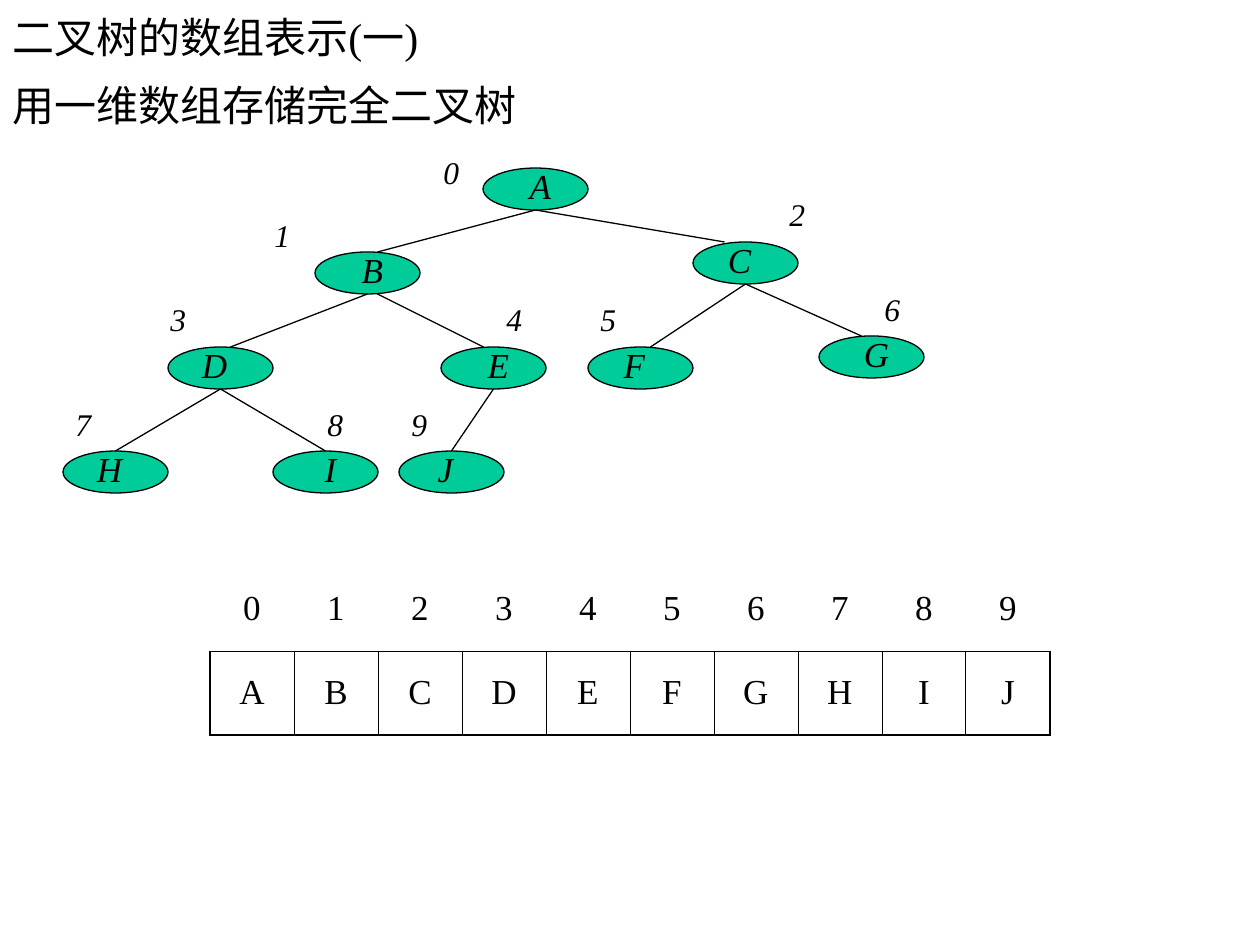
from lxml import etree
from pptx import Presentation
from pptx.dml.color import RGBColor
from pptx.enum.shapes import MSO_CONNECTOR as Line, MSO_SHAPE as Shape
from pptx.enum.text import MSO_ANCHOR as Anchor, PP_ALIGN as Align
from pptx.oxml.ns import qn
from pptx.util import Emu, Pt

HEADS = [("二叉树的数组表示(一)", 0, 0, 1071, 73, Anchor.MIDDLE),
         ("用一维数组存储完全二叉树", 0, 73, 1229, 829, Anchor.TOP)]
# name: oval left, oval top, letter shift, index left, index top
NODES = {
    "A": (483, 168, 21, 431, 147),
    "B": (315, 252, 21, 262, 210),
    "C": (693, 242, 10, 777, 189),
    "D": (168, 347, 10, 158, 294),
    "E": (441, 347, 21, 494, 294),
    "F": (588, 347, 10, 588, 294),
    "G": (819, 336, 21, 872, 284),
    "H": (63, 451, 10, 63, 399),
    "I": (273, 451, 21, 315, 399),
    "J": (399, 451, 10, 399, 399),
}
# parent, child, shift of each end from the middle of its oval
EDGES = [("A", "B", 0, 10), ("B", "D", 0, 10), ("D", "H", 0, 0),
         ("A", "C", 0, -21), ("B", "E", 10, -10), ("D", "I", 0, 0),
         ("E", "J", 0, 0), ("C", "F", 0, 10), ("C", "G", 0, -10)]
OVAL_W, OVAL_H = 105, 42
LEFT, TOP, CELL = 210, 567, 84
THIN, THICK = 0.45, 1.08
FONT, INK, GREEN = "Times New Roman", "000000", "00CC99"


def px(n):
    return Emu(round(n * 914400 / 126))


def box(*rect):
    return [px(n) for n in rect]


def color(code):
    return RGBColor.from_string(code)


def style(para, size, italic=False, align=Align.LEFT):
    para.alignment = align
    for run in para.runs:
        font = run.font
        font.name, font.size, font.italic = FONT, Pt(size), italic
        font.color.rgb = color(INK)


def label(shapes, text, rect, size, italic=False, align=Align.LEFT, anchor=Anchor.TOP):
    frame = shapes.add_textbox(*box(*rect)).text_frame
    frame.word_wrap = True
    frame.vertical_anchor = anchor
    frame.text = text
    style(frame.paragraphs[0], size, italic, align)


def oval(shapes, x, y):
    shape = shapes.add_shape(Shape.OVAL, *box(x, y, OVAL_W, OVAL_H))
    shape.shadow.inherit = False
    shape.fill.solid()
    shape.fill.fore_color.rgb = color(GREEN)
    shape.line.color.rgb = color(INK)
    shape.line.width = Pt(0.75)
    return shape


def edge(shapes, ovals, start, end, out, into):
    x1, y1 = NODES[start][:2]
    x2, y2 = NODES[end][:2]
    mid = OVAL_W / 2
    line = shapes.add_connector(
        Line.STRAIGHT, *box(x1 + mid + out, y1 + OVAL_H, x2 + mid + into, y2))
    if into == 0:
        line.end_connect(ovals[end], 0)
    line.line.color.rgb = color(INK)
    line.line.width = Pt(0.75)
    etree.SubElement(line._element.spPr, qn("a:effectLst"))


def border(cell, widths):
    props = cell._tc.get_or_add_tcPr()
    for spot, (side, width) in enumerate(zip("LRTB", widths)):
        line = etree.Element(qn("a:ln" + side), w=str(Pt(width)))
        props.insert(spot, line)
        if width:
            fill = etree.SubElement(line, qn("a:solidFill"))
            etree.SubElement(fill, qn("a:srgbClr"), val=INK)
        else:
            etree.SubElement(line, qn("a:noFill"))


def array(shapes):
    count = len(NODES)
    rows = [[str(n) for n in range(count)], list(NODES)]
    table = shapes.add_table(2, count, *box(LEFT, TOP, CELL * count, CELL * 2)).table
    table.first_row = table.horz_banding = False
    for col in table.columns:
        col.width = px(CELL)
    for r, row in enumerate(rows):
        table.rows[r].height = px(CELL)
        for c, text in enumerate(row):
            cell = table.cell(r, c)
            cell.text = text
            cell.vertical_anchor = Anchor.MIDDLE
            cell.fill.background()
            style(cell.text_frame.paragraphs[0], 20, align=Align.CENTER)
            left = THICK if c == 0 else THIN
            right = THICK if c == count - 1 else THIN
            border(cell, (left, right, THIN, THICK) if r else (0, 0, 0, THIN))


def main():
    """Build the slide on storing a complete binary tree in an array."""
    deck = Presentation()
    deck.slide_width, deck.slide_height = box(1260, 945)
    shapes = deck.slides.add_slide(deck.slide_layouts[6]).shapes
    for text, *rect, anchor in HEADS:
        label(shapes, text, rect, 24, anchor=anchor)
    ovals = {name: oval(shapes, *node[:2]) for name, node in NODES.items()}
    for name, (x, y, shift, *_) in NODES.items():
        label(shapes, name, (x + shift, y - 10, 73, 55), 20, True, Align.CENTER)
    for link in EDGES:
        edge(shapes, ovals, *link)
    for n, (*_, x, y) in enumerate(NODES.values()):
        label(shapes, str(n), (x, y, 53, 50), 18, True)
    array(shapes)
    deck.save("out.pptx")


if __name__ == "__main__":
    main()
